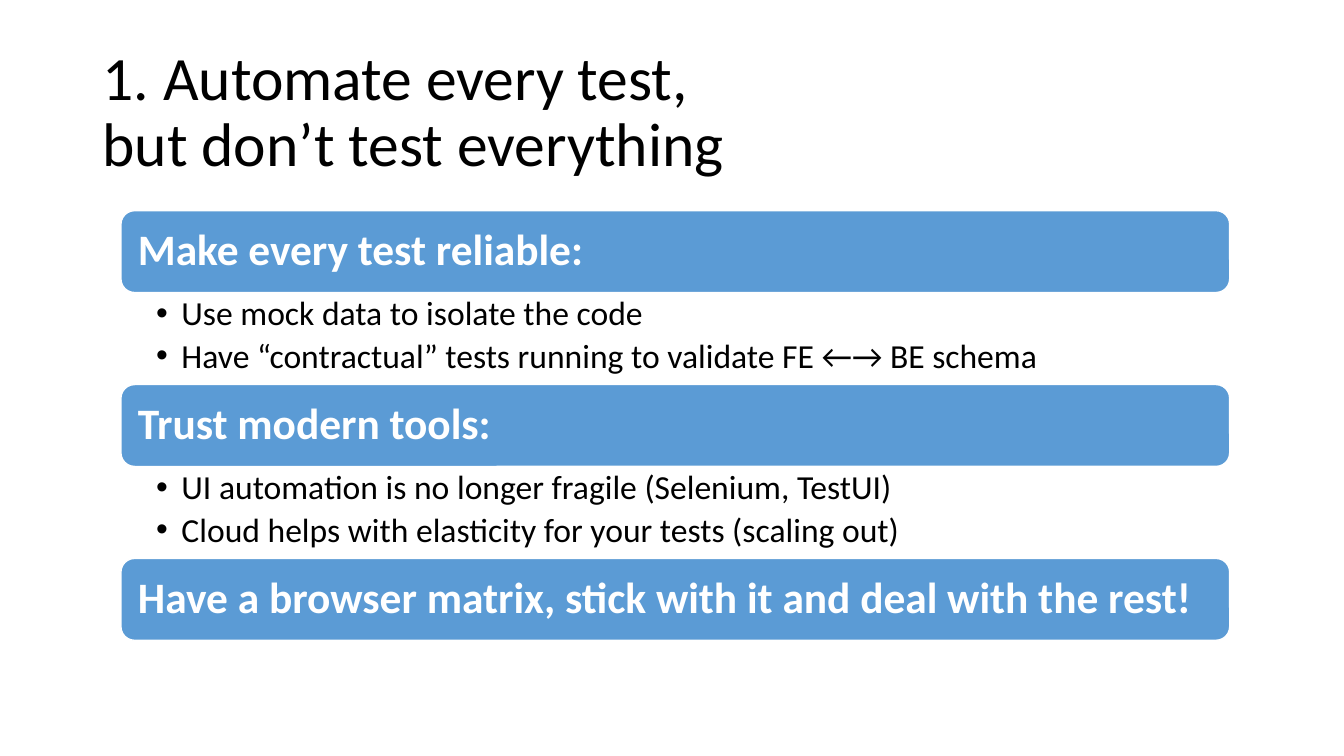
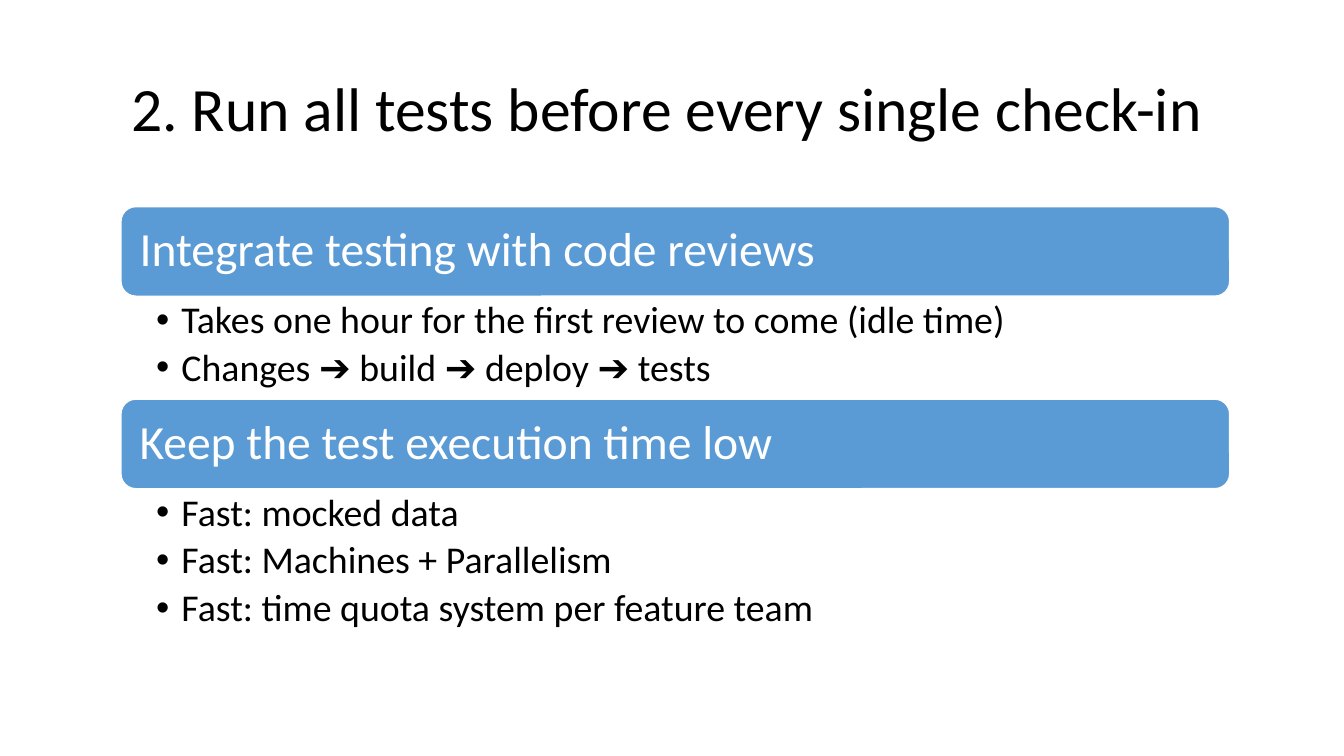
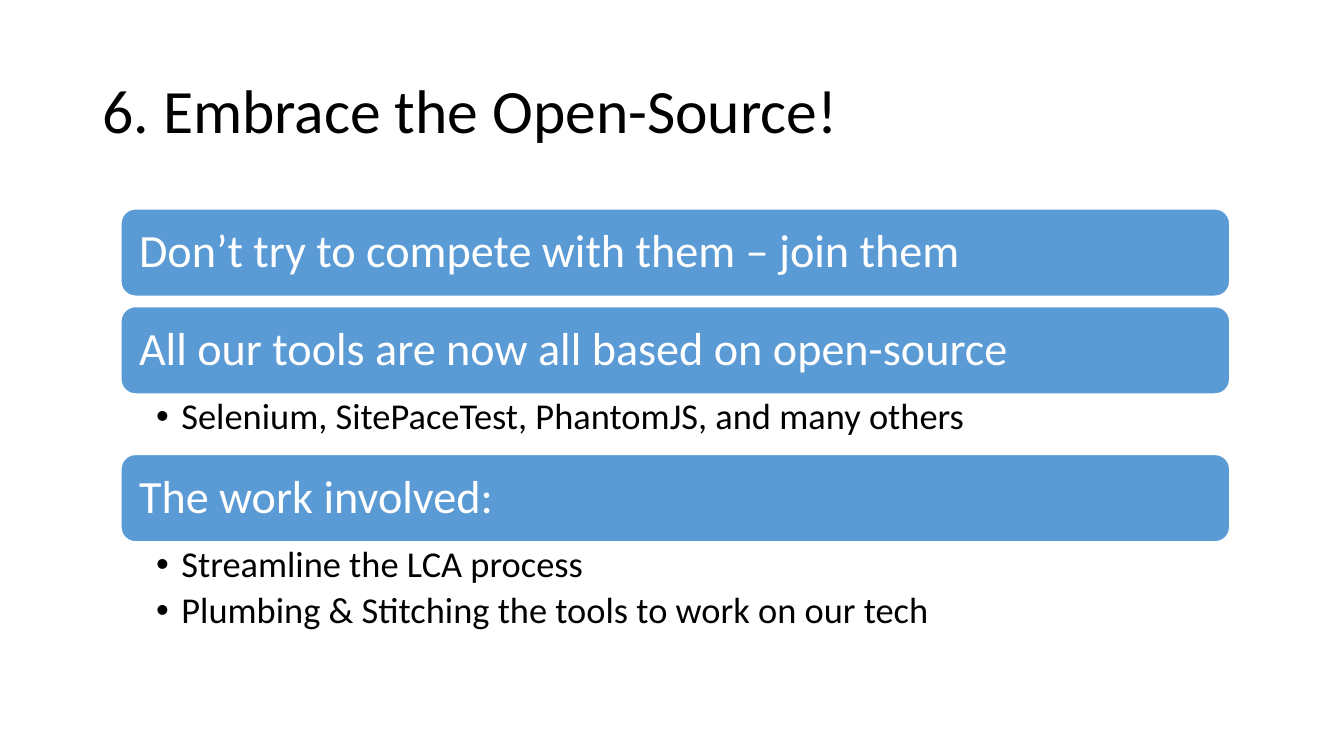
from dataclasses import dataclass
from typing import Optional

from lxml.etree import SubElement
from pptx import Presentation
from pptx.dml.color import RGBColor
from pptx.enum.shapes import MSO_SHAPE
from pptx.enum.text import MSO_ANCHOR as Anchor, MSO_AUTO_SIZE as AutoSize, PP_ALIGN as Align
from pptx.oxml.ns import qn
from pptx.util import Pt

FONT = "Calibri"
BLACK = RGBColor(0x00, 0x00, 0x00)
WHITE = RGBColor(0xFF, 0xFF, 0xFF)
BLUE = RGBColor(0x5B, 0x9B, 0xD5)

TITLE_SIZE = 44
BAR_LEFT, BAR_WIDTH = 86.4, 792
LIST_INDENT = 18
LINE_SPACING = 0.9
TWO_CONTENT_LAYOUT = 3


@dataclass(frozen=True)
class Area:
    """Rectangle in points."""
    left: float
    top: float
    width: float
    height: float


@dataclass(frozen=True)
class Section:
    """Heading bar with an optional bullet list under it."""
    heading: str
    items: tuple[str, ...] = ()
    space_below: float = 0


@dataclass(frozen=True)
class Topic:
    """Content and measures of one slide."""
    title: str
    top: float
    bar_height: float
    heading_size: float
    item_size: float
    sections: tuple[Section, ...]
    bold: bool = False
    title_area: Area = Area(66, 28.8, 828, 104.4)


TOPICS = (
    Topic("1. Automate every test,\vbut don’t test everything", 150.5, 58.5, 31, 24, (
        Section("Make every test reliable:", (
            "Use mock data to isolate the code",
            "Have “contractual” tests running to validate FE ←→ BE schema"), 65.7),
        Section("Trust modern tools:", (
            "UI automation is no longer fragile (Selenium, TestUI)",
            "Cloud helps with elasticity for your tests (scaling out)"), 65.7),
        Section("Have a browser matrix, stick with it and deal with the rest!"),
    ), bold=True),
    Topic("2. Run all tests before every single check-in", 147.6, 64, 34, 27, (
        Section("Integrate testing with code reviews", (
            "Takes one hour for the first review to come (idle time)",
            "Changes ➔ build ➔ deploy ➔ tests"), 73.5),
        Section("Keep the test execution time low", (
            "Fast: mocked data",
            "Fast: Machines + Parallelism",
            "Fast: time quota system per feature team"), 110.9),
    ), title_area=Area(86.4, 22.3, 845.3, 114.5)),
    Topic("6. Embrace the Open-Source!", 149.2, 62.4, 33, 26, (
        Section("Don’t try to compete with them – join them", space_below=7.4),
        Section("All our tools are now all based on open-source", (
            "Selenium, SitePaceTest, PhantomJS, and many others",), 43.2),
        Section("The work involved:", (
            "Streamline the LCA process",
            "Plumbing & Stitching the tools to work on our tech"), 71.3),
    )),
)


def place(box, area: Area) -> None:
    """Move and size a shape."""
    box.left, box.top = Pt(area.left), Pt(area.top)
    box.width, box.height = Pt(area.width), Pt(area.height)


def set_margins(frame, left: float, top: float, right: float, bottom: float) -> None:
    """Set the text insets and keep the text at its given size."""
    frame.margin_left, frame.margin_top = Pt(left), Pt(top)
    frame.margin_right, frame.margin_bottom = Pt(right), Pt(bottom)
    frame.word_wrap = True
    frame.auto_size = AutoSize.NONE


def style_paragraph(para, size: float, colour: RGBColor, bold: bool = False,
                    space_after: float = 0) -> None:
    """Apply the deck's paragraph style."""
    para.alignment = Align.LEFT
    para.line_spacing = LINE_SPACING
    para.space_before, para.space_after = Pt(0), Pt(space_after)
    para.font.name, para.font.size = FONT, Pt(size)
    para.font.bold = bold
    para.font.color.rgb = colour


def add_bullet(para) -> None:
    """Give a paragraph a hanging round bullet."""
    props = para._p.get_or_add_pPr()
    props.set("marL", str(Pt(LIST_INDENT)))
    props.set("indent", str(-Pt(LIST_INDENT)))
    bullet = SubElement(props, qn("a:buChar"))
    bullet.set("char", "•")
    default_run = props.find(qn("a:defRPr"))
    if default_run is not None:
        default_run.addprevious(bullet)


def fill_title(box, topic: Topic) -> None:
    """Write the slide title."""
    place(box, topic.title_area)
    frame = box.text_frame
    frame.text = topic.title
    set_margins(frame, 7.2, 3.6, 7.2, 3.6)
    frame.vertical_anchor = Anchor.MIDDLE
    style_paragraph(frame.paragraphs[0], TITLE_SIZE, BLACK)


def add_bar(page, heading: str, top: float, topic: Topic) -> None:
    """Draw a rounded heading bar."""
    bar = page.shapes.add_shape(MSO_SHAPE.ROUNDED_RECTANGLE, Pt(BAR_LEFT), Pt(top),
                                Pt(BAR_WIDTH), Pt(topic.bar_height))
    bar.shadow.inherit = False
    bar.fill.solid()
    bar.fill.fore_color.rgb = BLUE
    bar.line.color.rgb = WHITE
    bar.line.width = Pt(1)
    frame = bar.text_frame
    frame.text = heading
    margin = 0.3 * topic.heading_size
    set_margins(frame, margin, margin, margin, margin)
    frame.vertical_anchor = Anchor.MIDDLE
    style_paragraph(frame.paragraphs[0], topic.heading_size, WHITE, topic.bold)


def fill_list(box, section: Section, top: float, topic: Topic) -> None:
    """Write the bullets of a section."""
    place(box, Area(BAR_LEFT, top, BAR_WIDTH, section.space_below))
    frame = box.text_frame
    frame.text = "\n".join(section.items)
    margin = 0.1 * topic.heading_size
    set_margins(frame, 25.2, margin, 18, margin)
    frame.vertical_anchor = Anchor.TOP
    for para in frame.paragraphs:
        style_paragraph(para, topic.item_size, BLACK, space_after=0.18 * topic.item_size)
        add_bullet(para)


def next_body(bodies: list) -> Optional[object]:
    """Take the next free body placeholder."""
    return bodies.pop(0) if bodies else None


def add_topic(deck, topic: Topic) -> None:
    """Build one slide, stacking its sections from the top."""
    page = deck.slides.add_slide(deck.slide_layouts[TWO_CONTENT_LAYOUT])
    fill_title(page.shapes.title, topic)
    bodies = [box for box in page.placeholders if box.placeholder_format.idx in (1, 2)]
    top = topic.top
    for section in topic.sections:
        add_bar(page, section.heading, top, topic)
        top += topic.bar_height
        if section.items:
            fill_list(next_body(bodies), section, top, topic)
        top += section.space_below
    for box in bodies:
        box.element.getparent().remove(box.element)


def main() -> None:
    """Build and save the deck."""
    deck = Presentation()
    deck.slide_width, deck.slide_height = Pt(960), Pt(540)
    for topic in TOPICS:
        add_topic(deck, topic)
    deck.save("out.pptx")


main()
